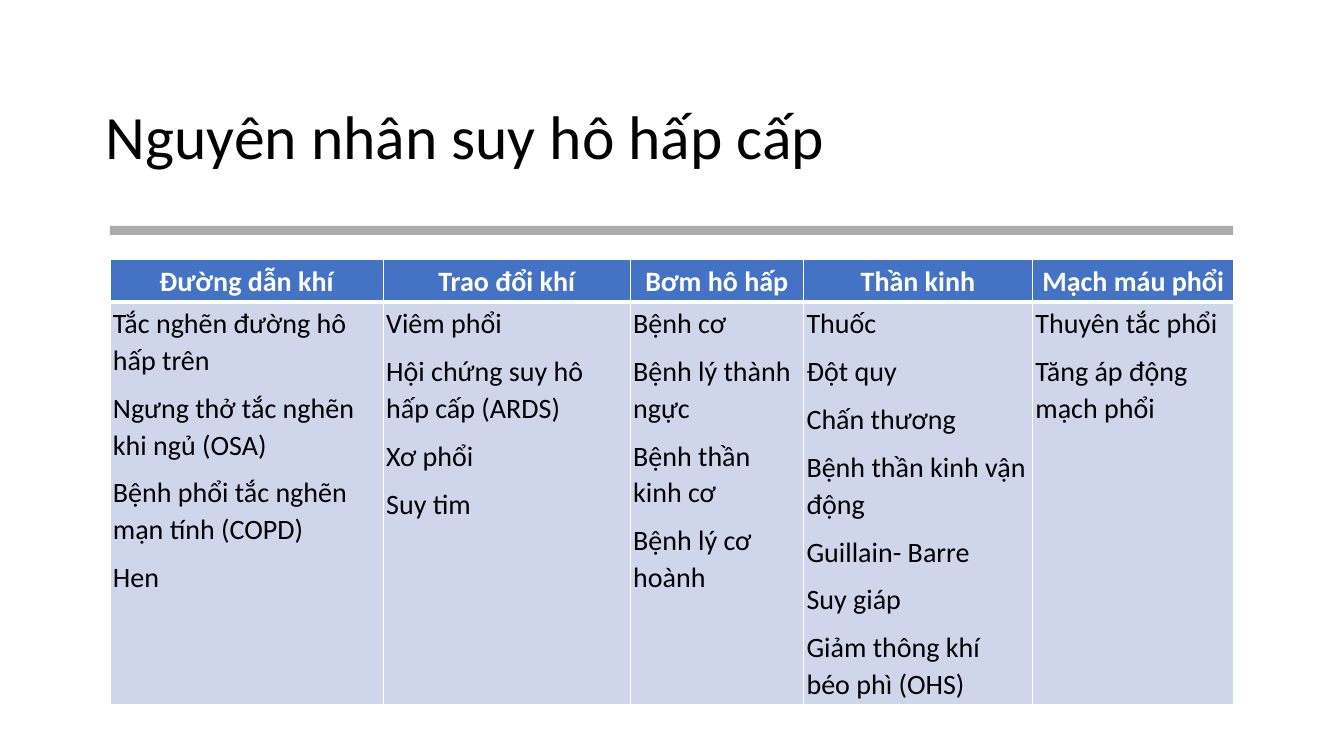
from lxml import etree
from pptx import Presentation
from pptx.dml.color import RGBColor
from pptx.enum.shapes import MSO_SHAPE
from pptx.enum.text import MSO_ANCHOR, PP_ALIGN
from pptx.oxml.ns import qn
from pptx.util import Inches, Pt

RECTANGLE = MSO_SHAPE.RECTANGLE
MIDDLE = MSO_ANCHOR.MIDDLE
LEFT, CENTER = PP_ALIGN.LEFT, PP_ALIGN.CENTER

FONT = "Calibri"
COLORS = {"text": "000000", "white": "FFFFFF", "rule": "808080",
          "header": "4472C4", "body": "CFD5EA"}
CONTENT_LEFT, CONTENT_WIDTH = 1.09, 11.14
COLUMN_WIDTHS = [2.71, 2.45, 1.72, 2.27, 2]
ROW_HEIGHTS = [0.42, 3.88]
CELL_INSET = Inches(0.03)
THIN, THICK = 1, 3

CAUSES = {
    "Đường dẫn khí": ["Tắc nghẽn đường hô hấp trên",
                      "Ngưng thở tắc nghẽn khi ngủ (OSA)",
                      "Bệnh phổi tắc nghẽn mạn tính (COPD)", "Hen"],
    "Trao đổi khí": ["Viêm phổi", "Hội chứng suy hô hấp cấp (ARDS)",
                     "Xơ phổi", "Suy tim"],
    "Bơm hô hấp": ["Bệnh cơ", "Bệnh lý thành ngực", "Bệnh thần kinh cơ",
                   "Bệnh lý cơ hoành"],
    "Thần kinh": ["Thuốc", "Đột quy", "Chấn thương", "Bệnh thần kinh vận động",
                  "Guillain- Barre", "Suy giáp", "Giảm thông khí béo phì (OHS)"],
    "Mạch máu phổi": ["Thuyên tắc phổi", "Tăng áp động mạch phổi"],
}


def color(name):
    return RGBColor.from_string(COLORS[name])


def style_font(para, size, color_name, bold=False):
    para.font.name = FONT
    para.font.size = Pt(size)
    para.font.bold = bold
    para.font.color.rgb = color(color_name)


def set_title(page, text):
    title = page.shapes.title
    title.left, title.top = Inches(0.95), Inches(0.66)
    title.width, title.height = Inches(11.43), Inches(1.45)
    frame = title.text_frame
    frame.text = text
    frame.word_wrap = True
    frame.vertical_anchor = MIDDLE
    para = frame.paragraphs[0]
    para.alignment = LEFT
    para.line_spacing = 0.9
    style_font(para, 44, "text")


def add_rule(page):
    rule = page.shapes.add_shape(RECTANGLE, Inches(CONTENT_LEFT), Inches(2.24),
                                 Inches(CONTENT_WIDTH), Inches(0.09))
    rule.shadow.inherit = False
    rule.line.fill.background()
    rule.fill.solid()
    rule.fill.fore_color.rgb = color("rule")
    tint = rule.fill._xPr.find(qn("a:solidFill"))[0]
    etree.SubElement(tint, qn("a:alpha"), val="65000")


def set_borders(cell, top, bottom):
    """Draw white borders, with the top and bottom widths in points."""
    properties = cell._tc.get_or_add_tcPr()
    widths = {"lnL": THIN, "lnR": THIN, "lnT": top, "lnB": bottom}
    for position, (side, width) in enumerate(widths.items()):
        line = etree.Element(qn(f"a:{side}"), w=str(Pt(width)))
        fill = etree.SubElement(line, qn("a:solidFill"))
        etree.SubElement(fill, qn("a:srgbClr"), val=COLORS["white"])
        properties.insert(position, line)


def fill_cell(cell, lines, is_header):
    cell.margin_left = cell.margin_right = CELL_INSET
    cell.margin_top = cell.margin_bottom = CELL_INSET
    cell.fill.solid()
    cell.fill.fore_color.rgb = color("header" if is_header else "body")
    set_borders(cell, *((THIN, THICK) if is_header else (THICK, THIN)))
    cell.text = "\n".join(lines)
    for para in cell.text_frame.paragraphs:
        para.alignment = CENTER if is_header else LEFT
        para.line_spacing = 1.07
        para.space_after = Pt(8)
        style_font(para, 20, "white" if is_header else "text", is_header)


def add_causes_table(page):
    table = page.shapes.add_table(
        len(ROW_HEIGHTS), len(CAUSES), Inches(CONTENT_LEFT), Inches(2.57),
        Inches(CONTENT_WIDTH), Inches(sum(ROW_HEIGHTS))).table
    for row, height in zip(table.rows, ROW_HEIGHTS):
        row.height = Inches(height)
    for index, (heading, causes) in enumerate(CAUSES.items()):
        table.columns[index].width = Inches(COLUMN_WIDTHS[index])
        fill_cell(table.cell(0, index), [heading], True)
        fill_cell(table.cell(1, index), causes, False)


def main():
    deck = Presentation()
    deck.slide_width, deck.slide_height = Inches(13.33), Inches(7.5)
    page = deck.slides.add_slide(deck.slide_layouts.get_by_name("Title Only"))
    set_title(page, "Nguyên nhân suy hô hấp cấp")
    add_rule(page)
    add_causes_table(page)
    deck.save("out.pptx")


if __name__ == "__main__":
    main()
